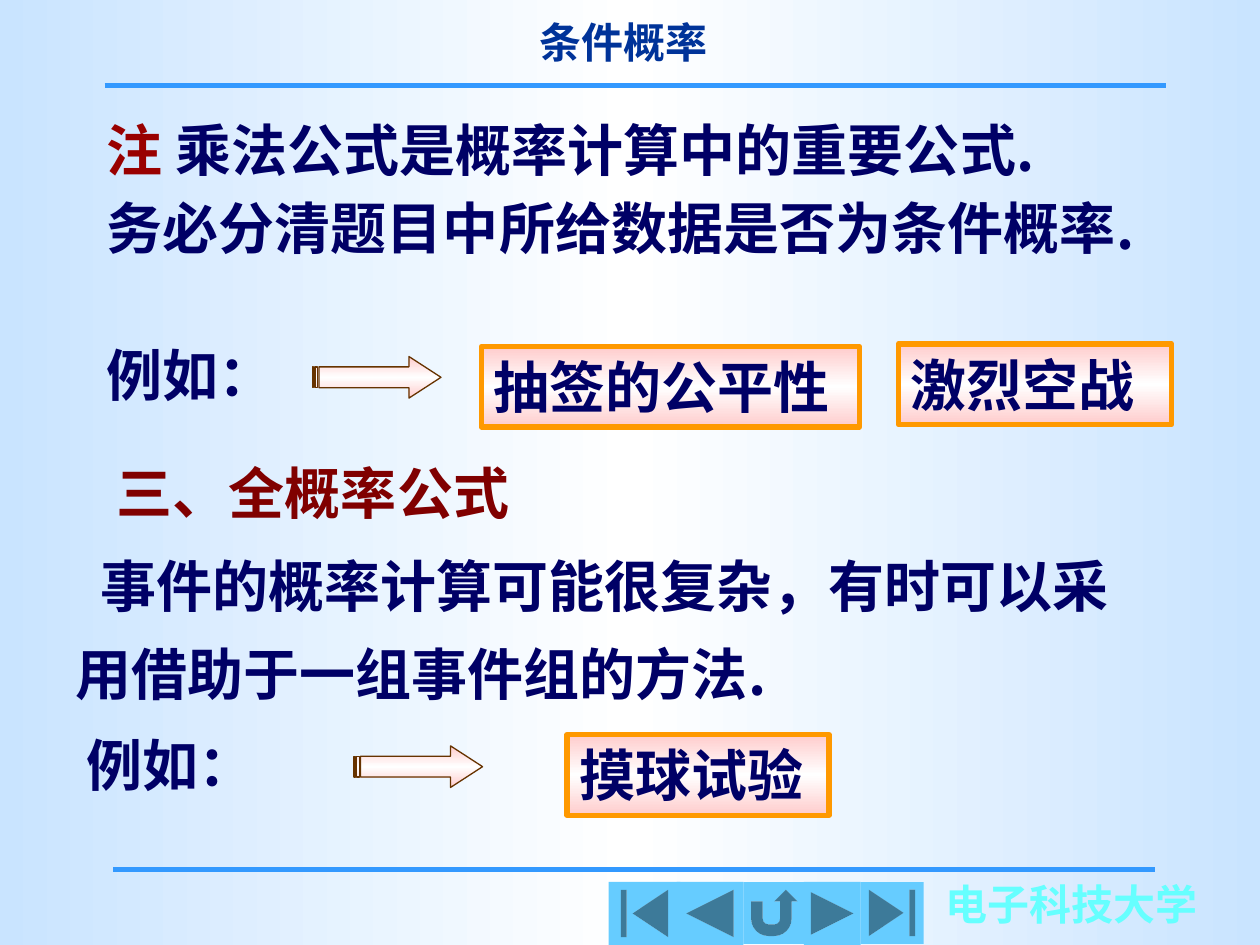
from copy import deepcopy

from pptx import Presentation
from pptx.dml.color import RGBColor
from pptx.enum import shapes, text
from pptx.oxml import ns
from pptx.util import Inches, Pt

COLORS = {
    "sky": "C9E4FF", "white": "FFFFFF", "rule": "3399FF", "title": "003399",
    "school": "66FFFF", "body": "000066", "note": "990000", "heading": "800000",
    "pink": "FFCCCC", "orange": "FF9900", "brown": "663300", "button": "66CCFF",
}
SANS = "Noto Sans CJK SC"
SERIF = "Times New Roman"


def rgb(name):
    return RGBColor.from_string(COLORS[name])


def fill_gradient(fill, element, edge, angle):
    """Gradient from the edge colour to white and back."""
    fill.gradient()
    fill.gradient_angle = angle
    stop_list = element.find(".//" + ns.qn("a:gsLst"))
    stop_list.insert(1, deepcopy(stop_list[0]))
    for stop, place, color in zip(fill.gradient_stops, (0, 0.5, 1), (edge, "white", edge)):
        stop.position = place
        stop.color.rgb = rgb(color)


def write(frame, runs, font=SANS, size=32, spacing=None, indent=0, align=text.PP_ALIGN.LEFT):
    """Fill a frame with one paragraph of (wording, colour) runs."""
    frame.word_wrap = True
    frame.auto_size = text.MSO_AUTO_SIZE.SHAPE_TO_FIT_TEXT
    frame.vertical_anchor = text.MSO_ANCHOR.TOP
    paragraph = frame.paragraphs[0]
    paragraph.alignment = align
    if spacing:
        paragraph.line_spacing = spacing
    if indent:
        paragraph._p.get_or_add_pPr().set("indent", str(Inches(indent)))
    for wording, color in runs:
        run = paragraph.add_run()
        run.text = wording
        run.font.name = font
        run.font.size = Pt(size)
        run.font.bold = True
        run.font.color.rgb = rgb(color)
        if font == SANS:
            east_asian = run.font._element.makeelement(ns.qn("a:ea"), {"typeface": font})
            run.font._element.append(east_asian)


def add_text(slide, box, runs, **style):
    label = slide.shapes.add_textbox(*map(Inches, box))
    write(label.text_frame, runs, **style)
    return label


def add_rule(slide, left, right, y):
    rule = slide.shapes.add_connector(
        shapes.MSO_CONNECTOR.STRAIGHT, Inches(left), Inches(y), Inches(right), Inches(y))
    rule.line.color.rgb = rgb("rule")
    rule.line.width = Pt(3)
    properties = rule._element.spPr
    properties.append(properties.makeelement(ns.qn("a:effectLst"), {}))


def add_preset(slide, preset, box):
    shape = slide.shapes.add_shape(preset, *map(Inches, box))
    shape.shadow.inherit = False
    return shape


def add_pink(slide, preset, box, line, width):
    shape = add_preset(slide, preset, box)
    fill_gradient(shape.fill, shape.element, "pink", 90)
    shape.line.color.rgb = rgb(line)
    shape.line.width = Pt(width)
    return shape


def add_arrow(slide, left, top):
    arrow = add_pink(slide, shapes.MSO_SHAPE.STRIPED_RIGHT_ARROW,
                     (left, top, 1.02, 0.33), "brown", 0.75)
    arrow.adjustments[0] = 0.5
    arrow.adjustments[1] = 0.77


def add_example(slide, box, wording):
    example = add_pink(slide, shapes.MSO_SHAPE.RECTANGLE, box, "orange", 3)
    write(example.text_frame, [(wording, "body")])


def add_button(slide, preset, left, width, height):
    button = add_preset(slide, preset, (left, 7, width, height))
    button.fill.solid()
    button.fill.fore_color.rgb = rgb("button")
    button.line.fill.background()


def main():
    deck = Presentation()
    deck.slide_width, deck.slide_height = Inches(10), Inches(7.5)
    slide = deck.slides.add_slide(deck.slide_layouts[6])
    fill_gradient(slide.background.fill, slide.element, "sky", 0)

    # Header and footer
    add_rule(slide, 0.9, 9.17, 6.9)
    school = add_text(slide, (7.41, 6.92, 2.2, 0.5), [("电子科技大学", "school")],
                      font=SERIF, size=24)
    school.text_frame.word_wrap = False
    add_text(slide, (3.33, 0.08, 3.24, 0.5), [("条件概率", "title")],
             font=SERIF, size=24, align=text.PP_ALIGN.CENTER)
    add_rule(slide, 0.83, 9.25, 0.68)

    # Note on the multiplication formula
    add_text(slide, (0.75, 0.76, 8.75, 0.74),
             [("注 ", "note"), ("乘法公式是概率计算中的重要公式.", "body")], spacing=1.2)
    add_text(slide, (0.75, 1.55, 8.75, 0.58),
             [("务必分清题目中所给数据是否为条件概率.", "body")], spacing=0.9)
    add_text(slide, (0.75, 2.65, 1.81, 0.64), [("例如：", "body")])
    add_arrow(slide, 2.48, 2.83)
    add_example(slide, (3.82, 2.75, 3, 0.64), "抽签的公平性")
    add_example(slide, (7.13, 2.73, 2.17, 0.64), "激烈空战")

    # Total probability formula
    add_text(slide, (0.83, 3.59, 3.67, 0.64), [("三、全概率公式", "heading")])
    add_text(slide, (0.5, 4.17, 8.83, 1.49),
             [("事件的概率计算可能很复杂，有时可以采用借助于一组事件组的方法.", "body")],
             spacing=1.3, indent=0.2)
    add_text(slide, (0.59, 5.75, 1.89, 0.64), [("例如：", "body")])
    add_arrow(slide, 2.81, 5.92)
    add_example(slide, (4.5, 5.83, 2.08, 0.64), "摸球试验")

    # Navigation buttons
    preset = shapes.MSO_SHAPE
    for kind, left, width, height in (
        (preset.ACTION_BUTTON_BEGINNING, 4.83, 0.57, 0.5),
        (preset.ACTION_BUTTON_BACK_OR_PREVIOUS, 5.37, 0.53, 0.5),
        (preset.ACTION_BUTTON_RETURN, 5.9, 0.49, 0.49),
        (preset.ACTION_BUTTON_FORWARD_OR_NEXT, 6.38, 0.45, 0.5),
        (preset.ACTION_BUTTON_END, 6.83, 0.5, 0.49),
    ):
        add_button(slide, kind, left, width, height)

    deck.save("out.pptx")


if __name__ == "__main__":
    main()
